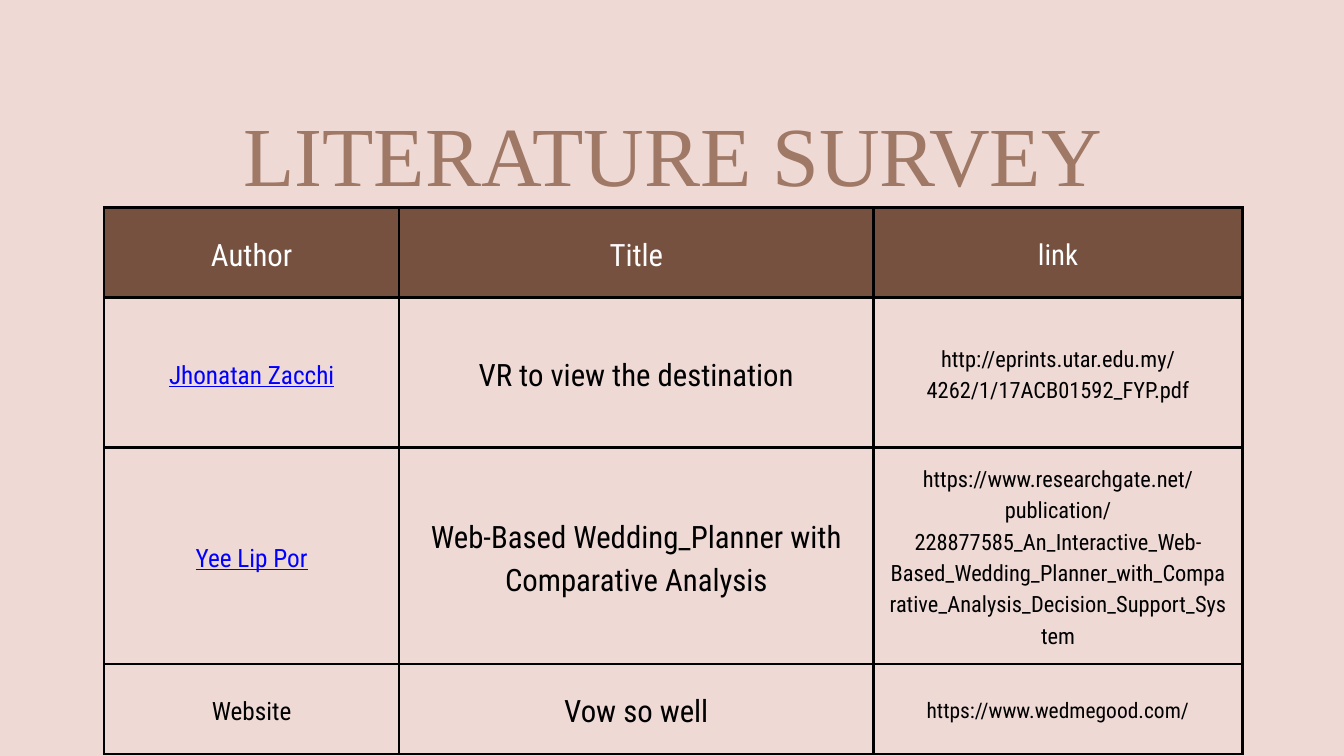
from dataclasses import dataclass

from lxml.etree import SubElement
from pptx import Presentation
from pptx.dml.color import RGBColor
from pptx.enum.text import MSO_ANCHOR, PP_ALIGN
from pptx.oxml.ns import qn
from pptx.util import Inches, Pt


@dataclass(frozen=True)
class Theme:
    background: str = "EFD9D5"
    heading: str = "9F7866"
    header_fill: str = "76513F"
    white: str = "FFFFFF"
    off_white: str = "FDFBFB"
    black: str = "000000"
    link: str = "0000FF"
    heading_font: str = "Times New Roman"
    table_font: str = "Roboto Condensed"
    heading_size: int = 90
    large: int = 33
    header_small: int = 31
    author: int = 27
    address: int = 24
    address_small: int = 23
    leading: float = 1.4
    border: int = 3
    cell_margin: float = 0.21


THEME = Theme()


@dataclass(frozen=True)
class Entry:
    text: str
    size: int
    color: str = THEME.black
    underline: bool = False
    fill: str | None = None


def header(text: str, size: int = THEME.large, color: str = THEME.white) -> Entry:
    return Entry(text, size, color, fill=THEME.header_fill)


def author(name: str) -> Entry:
    return Entry(name, THEME.author, THEME.link, underline=True)


COLUMN_WIDTHS = (4.39, 7.06, 5.49)
ROW_HEIGHTS = (1.34, 2.23, 2.48, 1.34)
SURVEY = (
    (
        header("Author"),
        header("Title", color=THEME.off_white),
        header("link", THEME.header_small),
    ),
    (
        author("Jhonatan Zacchi"),
        Entry("VR to view the destination", THEME.large),
        Entry("http://eprints.utar.edu.my/4262/1/17ACB01592_FYP.pdf", THEME.address),
    ),
    (
        author("Yee Lip Por"),
        Entry("Web-Based Wedding_Planner with Comparative Analysis", THEME.large),
        Entry(
            "https://www.researchgate.net/publication/228877585_An_Interactive_Web-"
            "Based_Wedding_Planner_with_Comparative_Analysis_Decision_Support_System",
            THEME.address,
        ),
    ),
    (
        Entry("Website", THEME.author),
        Entry("Vow so well", THEME.large),
        Entry("https://www.wedmegood.com/", THEME.address_small),
    ),
)


def write(text_frame, entry: Entry, font: str, leading: float) -> None:
    text_frame.word_wrap = True
    paragraph = text_frame.paragraphs[0]
    paragraph.alignment = PP_ALIGN.CENTER
    paragraph.line_spacing = Pt(entry.size * leading)
    run = paragraph.add_run()
    run.text = entry.text
    run.font.name = font
    run.font.size = Pt(entry.size)
    run.font.underline = entry.underline
    run.font.color.rgb = RGBColor.from_string(entry.color)


def set_margins(target, margin: float) -> None:
    target.margin_left = target.margin_right = Inches(margin)
    target.margin_top = target.margin_bottom = Inches(margin)


def draw_borders(cell) -> None:
    properties = cell._tc.get_or_add_tcPr()
    for side in ("a:lnL", "a:lnR", "a:lnT", "a:lnB"):
        line = SubElement(properties, qn(side), w=str(Pt(THEME.border)))
        fill = SubElement(line, qn("a:solidFill"))
        SubElement(fill, qn("a:srgbClr"), val=THEME.black)


def draw_cell(cell, entry: Entry) -> None:
    cell.vertical_anchor = MSO_ANCHOR.MIDDLE
    set_margins(cell, THEME.cell_margin)
    draw_borders(cell)
    if entry.fill:
        cell.fill.solid()
        cell.fill.fore_color.rgb = RGBColor.from_string(entry.fill)
    else:
        cell.fill.background()
    write(cell.text_frame, entry, THEME.table_font, THEME.leading)


def draw_heading(slide) -> None:
    box = slide.shapes.add_textbox(
        Inches(3.1), Inches(1.78), Inches(13.83), Inches(1.31)
    )
    set_margins(box.text_frame, 0)
    entry = Entry("LITERATURE SURVEY", THEME.heading_size, THEME.heading)
    write(box.text_frame, entry, THEME.heading_font, 1)


def draw_survey(slide) -> None:
    table = slide.shapes.add_table(
        len(ROW_HEIGHTS), len(COLUMN_WIDTHS), Inches(1.55), Inches(3.09),
        Inches(sum(COLUMN_WIDTHS)), Inches(sum(ROW_HEIGHTS)),
    ).table
    table.first_row = False
    table.horz_banding = False
    for column, width in zip(table.columns, COLUMN_WIDTHS):
        column.width = Inches(width)
    for row, height, entries in zip(table.rows, ROW_HEIGHTS, SURVEY):
        row.height = Inches(height)
        for cell, entry in zip(row.cells, entries):
            draw_cell(cell, entry)


def main() -> None:
    presentation = Presentation()
    presentation.slide_width = Inches(20)
    presentation.slide_height = Inches(11.25)
    slide = presentation.slides.add_slide(presentation.slide_layouts[6])
    slide.background.fill.solid()
    slide.background.fill.fore_color.rgb = RGBColor.from_string(THEME.background)
    draw_heading(slide)
    draw_survey(slide)
    presentation.save("out.pptx")


if __name__ == "__main__":
    main()
